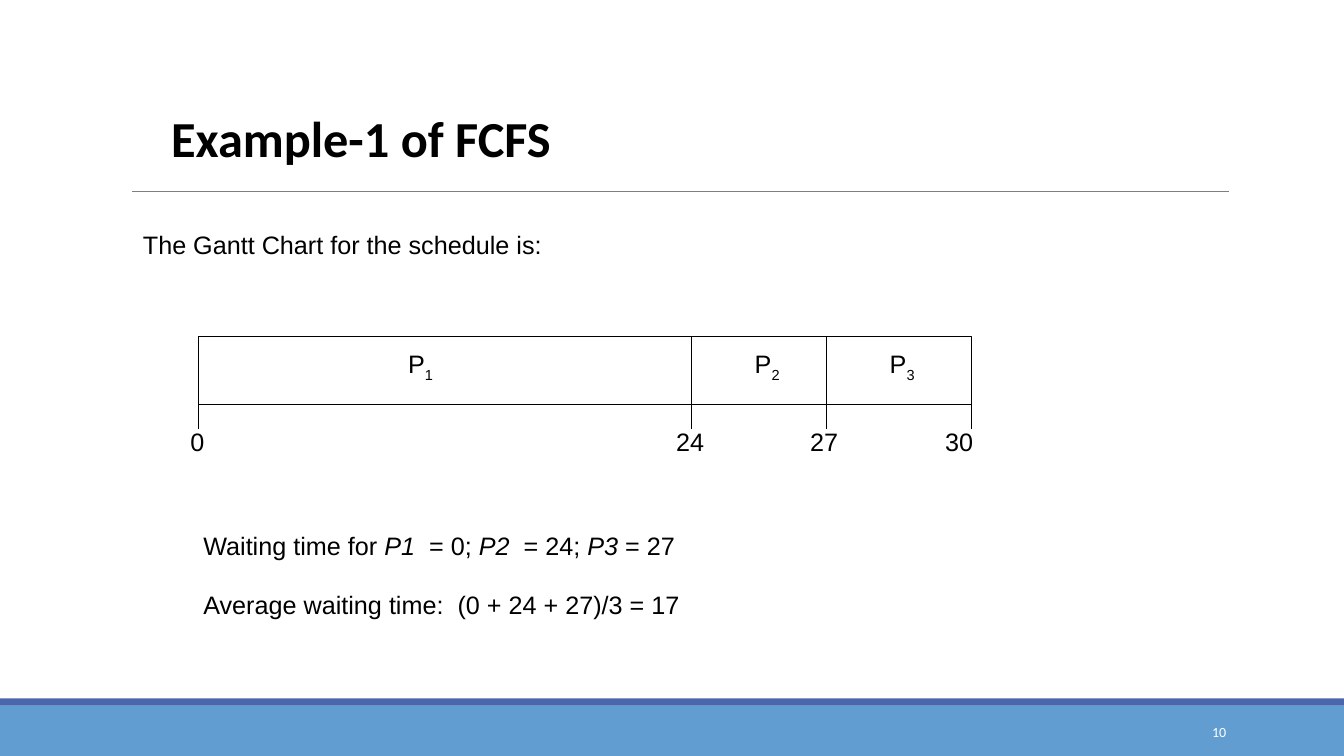
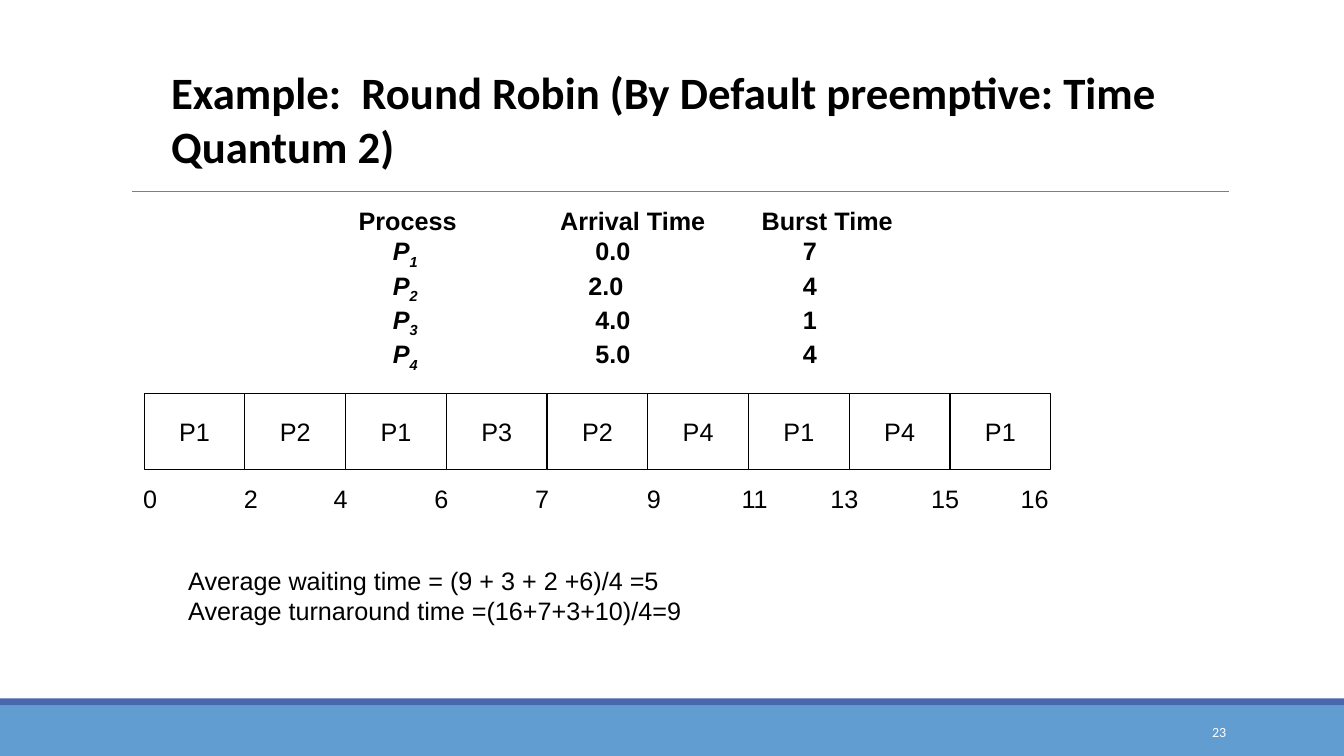
from dataclasses import dataclass
from typing import NamedTuple

from pptx import Presentation
from pptx.dml.color import RGBColor
from pptx.enum.shapes import MSO_CONNECTOR, MSO_SHAPE
from pptx.enum.text import MSO_ANCHOR, PP_ALIGN
from pptx.oxml.ns import qn
from pptx.util import Emu, Pt

# Scale: 100 px to the inch
EMU_PER_PX = 9144
SLIDE_W, SLIDE_H = 1334, 750

BLACK = RGBColor(0x00, 0x00, 0x00)
WHITE = RGBColor(0xFF, 0xFF, 0xFF)
GREY = RGBColor(0x7F, 0x7F, 0x7F)
BAND_BLUE = RGBColor(0x62, 0x9D, 0xD1)
STRIPE_BLUE = RGBColor(0x4A, 0x66, 0xAC)

RECT, STRAIGHT = MSO_SHAPE.RECTANGLE, MSO_CONNECTOR.STRAIGHT
TOP, MIDDLE, BOTTOM = MSO_ANCHOR.TOP, MSO_ANCHOR.MIDDLE, MSO_ANCHOR.BOTTOM
LEFT, CENTER, RIGHT = PP_ALIGN.LEFT, PP_ALIGN.CENTER, PP_ALIGN.RIGHT

BODY = {"name": "Arial", "size": Pt(18)}
BODY_BOLD = BODY | {"bold": True}
NUMBER = {"name": "Calibri", "size": Pt(10)}
TITLE = {"name": "Calibri", "bold": True}
LABEL = {"align": CENTER, "anchor": MIDDLE, "wrap": False}


class Box(NamedTuple):
    x: int
    y: int
    w: int
    h: int


class Run(NamedTuple):
    text: str
    italic: bool = False
    subscript: bool = False


class Entry(NamedTuple):
    """A table cell: its runs and its indent in px."""
    runs: list[Run]
    indent: int = 0


@dataclass(frozen=True)
class Frame:
    """Title and number of one slide."""
    title: str
    box: Box
    size: int
    line_spacing: float
    number: str


@dataclass(frozen=True)
class Label:
    """Short text centred on x."""
    text: str
    x: int


def px(n: int) -> Emu:
    return Emu(n * EMU_PER_PX)


def emu(box: Box) -> list[Emu]:
    return [px(n) for n in box]


# Text
def write_runs(p, runs: list[Run], fmt: dict, color: RGBColor = BLACK) -> None:
    for run in runs:
        r = p.add_run()
        r.text = run.text
        for key, value in fmt.items():
            setattr(r.font, key, value)
        r.font.color.rgb = color
        if run.italic:
            r.font.italic = True
        if run.subscript:
            r.font._element.set("baseline", "-25000")


def fill_text(tf, paragraphs: list[list[Run]], fmt: dict, color: RGBColor = BLACK,
              align=LEFT, anchor=TOP, wrap: bool = True, gap: int = 0,
              line_spacing: float = 1.0) -> None:
    tf.word_wrap = wrap
    tf.vertical_anchor = anchor
    for i, runs in enumerate(paragraphs):
        p = tf.add_paragraph() if i else tf.paragraphs[0]
        layout = {"alignment": align, "line_spacing": line_spacing,
                  "space_before": Pt(gap if i else 0)}
        for key, value in layout.items():
            setattr(p, key, value)
        write_runs(p, runs, fmt, color)


def add_text(s, box: Box, paragraphs: list[list[Run]], fmt: dict = BODY, **layout) -> None:
    tf = s.shapes.add_textbox(*emu(box)).text_frame
    fill_text(tf, paragraphs, fmt, **layout)


# Shapes and lines
def add_rect(s, box: Box, fill: RGBColor, outlined: bool = False):
    sp = s.shapes.add_shape(RECT, *emu(box))
    sp.shadow.inherit = False
    sp.fill.solid()
    sp.fill.fore_color.rgb = fill
    if outlined:
        sp.line.color.rgb = BLACK
        sp.line.width = Pt(0.75)
    else:
        sp.line.fill.background()
    return sp


def add_text_rect(s, box: Box, text: str, outlined: bool = False) -> None:
    sp = add_rect(s, box, WHITE, outlined)
    fill_text(sp.text_frame, [[Run(text)]], BODY, **LABEL)


def add_line(s, x1: int, y1: int, x2: int, y2: int,
             color: RGBColor = BLACK, width: float = 0.75) -> None:
    line = s.shapes.add_connector(STRAIGHT, px(x1), px(y1), px(x2), px(y2))
    line.line.color.rgb = color
    line.line.width = Pt(width)
    sp_pr = line._element.spPr
    sp_pr.append(sp_pr.makeelement(qn("a:effectLst"), {}))


# Slide frame: bands, rule, number and title
def add_framed_slide(prs, frame: Frame):
    s = prs.slides.add_slide(prs.slide_layouts[6])
    add_rect(s, Box(0, 700, SLIDE_W, 50), BAND_BLUE)
    add_rect(s, Box(0, 693, SLIDE_W, 7), STRIPE_BLUE)
    add_line(s, 131, 190, 1220, 190, GREY, 0.5)
    add_text(s, Box(1084, 706, 143, 40), [[Run(frame.number)]], NUMBER,
             color=WHITE, align=RIGHT, anchor=MIDDLE)
    add_text(s, frame.box, [[Run(frame.title)]], TITLE | {"size": Pt(frame.size)},
             anchor=BOTTOM, line_spacing=frame.line_spacing)
    return s


# First come, first served
def build_fcfs(prs) -> None:
    s = add_framed_slide(prs, Frame("Example-1 of FCFS", Box(160, 76, 1062, 95),
                                    36, 0.85, "10"))
    add_text(s, Box(132, 223, 442, 40), [[Run("The Gantt Chart for the schedule is:")]])

    # Gantt bar with dividers and ticks
    edges = [197, 686, 820, 964]
    top, bottom, tick = 334, 401, 25
    add_rect(s, Box(edges[0], top, edges[-1] - edges[0], bottom - top), WHITE, True)
    for x in edges[1:-1]:
        add_line(s, x, top, x, bottom)
    for x in edges:
        add_line(s, x, bottom, x, bottom + tick)

    for process in (Label("1", 417), Label("2", 761), Label("3", 895)):
        add_text(s, Box(process.x - 22, 341, 45, 44),
                 [[Run("P"), Run(process.text, subscript=True)]], **LABEL)
    for time in (Label("0", 196), Label("24", 685), Label("27", 818), Label("30", 952)):
        add_text(s, Box(time.x - 24, 418, 48, 40), [[Run(time.text)]], **LABEL)

    # Results
    add_text(s, Box(192, 521, 823, 100), [
        [Run("Waiting time for "), Run("P1", italic=True), Run("  = 0; "),
         Run("P2", italic=True), Run("  = 24; "), Run("P3 ", italic=True), Run("= 27")],
        [Run("Average waiting time:  (0 + 24 + 27)/3 = 17")],
    ], gap=21)


# Round robin
def add_process_table(s) -> None:
    header = ["Process", "Arrival Time", "Burst Time"]
    processes = [("1", "0.0", 35, "7"), ("2", "2.0", 28, "4"),
                 ("3", "4.0", 35, "1"), ("4", "5.0", 35, "4")]
    rows = [[Entry([Run(name)]) for name in header]]
    for number, arrival, indent, burst in processes:
        name = [Run("P", italic=True), Run(number, italic=True, subscript=True)]
        rows.append([Entry(name, 34), Entry([Run(arrival)], indent),
                     Entry([Run(burst)], 41)])

    header_h, row_h, col_w = 29, 34, 200
    box = Box(356, 206, col_w * len(header), header_h + row_h * len(processes))
    table = s.shapes.add_table(len(rows), len(header), *emu(box)).table
    table.first_row = table.horz_banding = False
    for column in table.columns:
        column.width = px(col_w)
    for i, entries in enumerate(rows):
        table.rows[i].height = px(row_h if i else header_h)
        for j, entry in enumerate(entries):
            cell = table.cell(i, j)
            cell.fill.background()
            cell.margin_left = px(entry.indent)
            cell.margin_right = cell.margin_top = cell.margin_bottom = 0
            write_runs(cell.text_frame.paragraphs[0], entry.runs, BODY_BOLD)


def build_round_robin(prs) -> None:
    s = add_framed_slide(prs, Frame(
        "Example:  Round Robin (By Default preemptive: Time Quantum 2)",
        Box(160, 59, 1099, 117), 32, 1.0, "23"))
    add_process_table(s)

    # Gantt chart of equal slots
    slot_w = 100
    for i, name in enumerate(["P1", "P2", "P1", "P3", "P2", "P4", "P1", "P4", "P1"]):
        add_text_rect(s, Box(143 + i * slot_w, 390, slot_w, 76), name, outlined=True)
    times = [Label("0", 149), Label("2", 249), Label("4", 338), Label("6", 438),
             Label("7", 538), Label("9", 649), Label("11", 749), Label("13", 838),
             Label("15", 938), Label("16", 1027)]
    for time in times:
        add_text_rect(s, Box(time.x - 39, 473, 78, 42), time.text)

    # Results
    add_text(s, Box(177, 556, 667, 70), [
        [Run("Average waiting time = (9 + 3 + 2 +6)/4 =5")],
        [Run("Average turnaround time =(16+7+3+10)/4=9")],
    ])


def main() -> None:
    prs = Presentation()
    prs.slide_width, prs.slide_height = px(SLIDE_W), px(SLIDE_H)
    build_fcfs(prs)
    build_round_robin(prs)
    prs.save("out.pptx")


if __name__ == "__main__":
    main()
